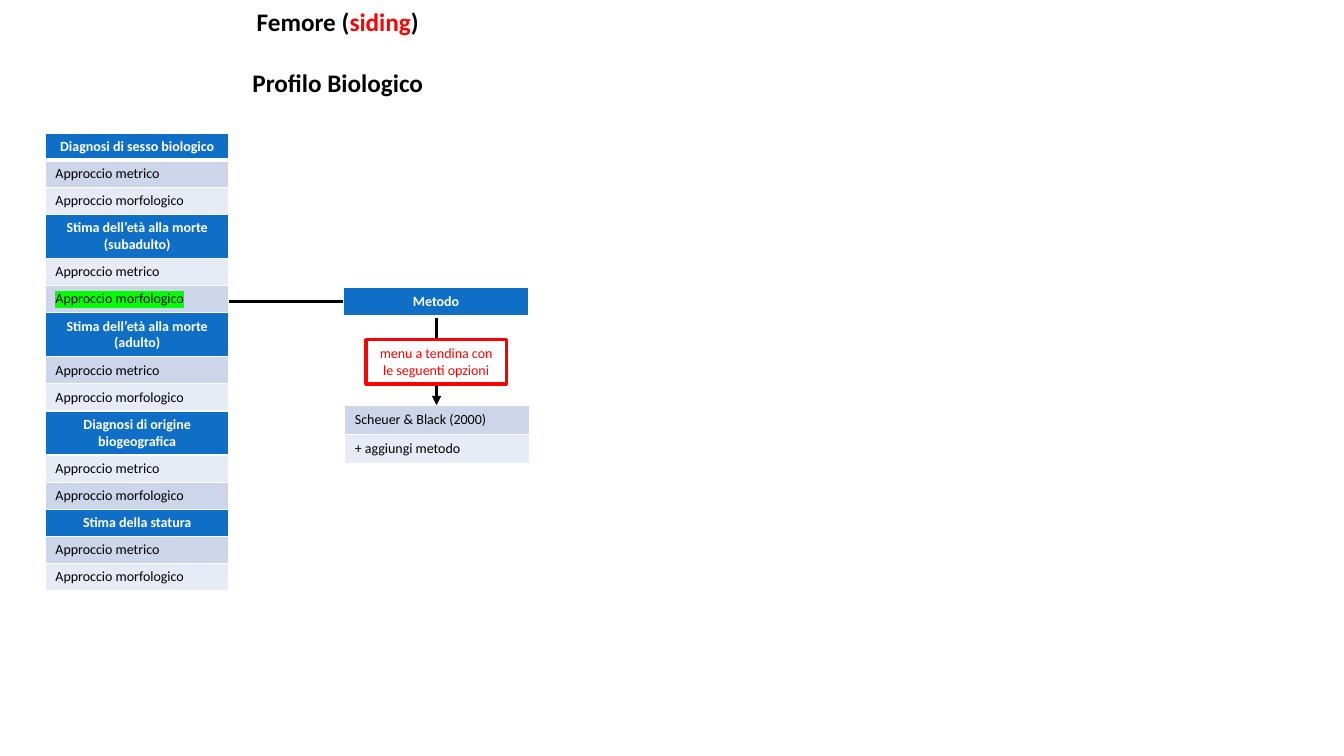
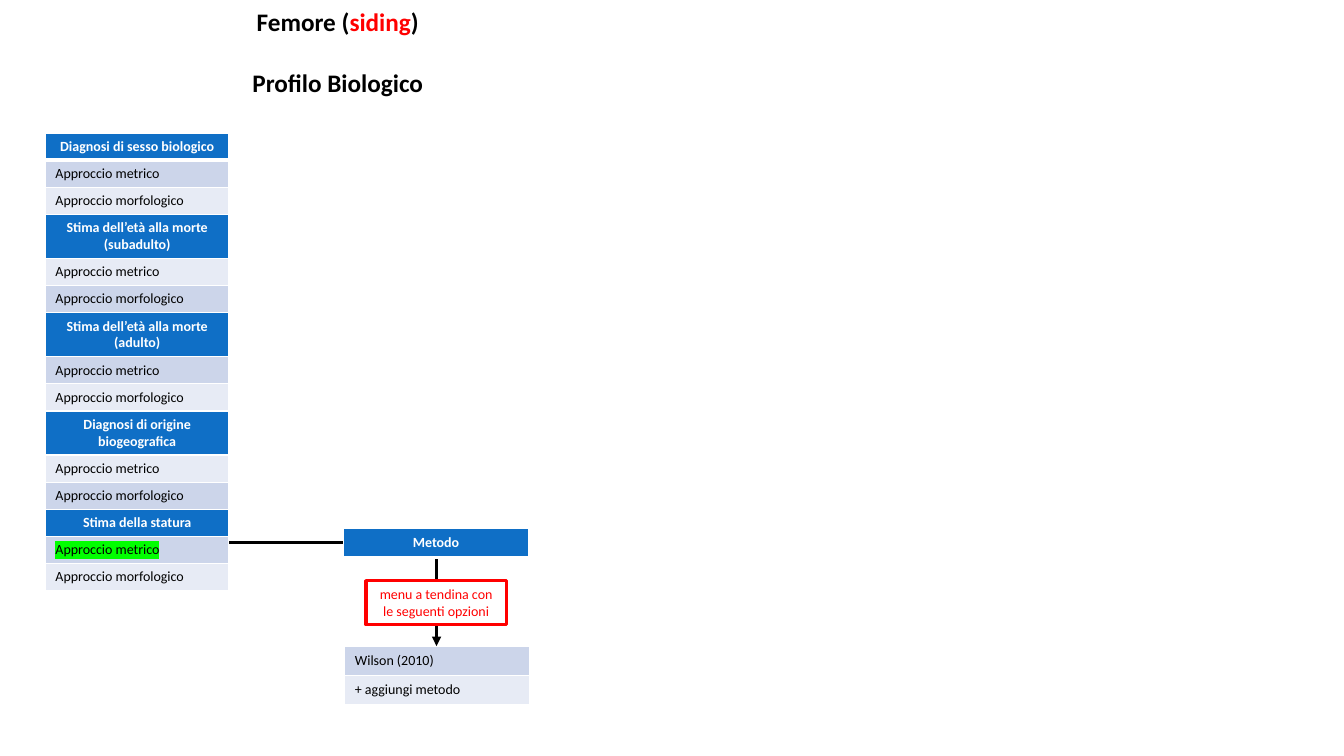
from pptx import Presentation
from pptx.dml.color import RGBColor
from pptx.enum.shapes import MSO_CONNECTOR, MSO_SHAPE
from pptx.enum.text import MSO_ANCHOR, PP_ALIGN
from pptx.oxml.ns import qn
from pptx.util import Emu, Pt
from lxml.etree import SubElement

# Content: each section has a heading and the number of lines it takes
TITLE = [
    [("Femore (", False), ("siding", True), (")", False)],
    [("Profilo Biologico", False)],
]
SECTIONS = [
    ("Diagnosi di sesso biologico", 1),
    ("Stima dell’età alla morte (subadulto)", 2),
    ("Stima dell’età alla morte (adulto)", 2),
    ("Diagnosi di origine biogeografica", 2),
    ("Stima della statura", 1),
]
APPROACHES = ["Approccio metrico", "Approccio morfologico"]
METHOD = "Metodo"
MENU = "menu a tendina con le seguenti opzioni"
ADD_METHOD = "+ aggiungi metodo"
SLIDES = [
    {"section": 1, "approach": 1, "method": "Scheuer & Black (2000)", "top": 285},
    {"section": 4, "approach": 0, "method": "Wilson (2010)", "top": 524},
]

# Shared style
BLACK = RGBColor(0, 0, 0)
WHITE = RGBColor(255, 255, 255)
RED = RGBColor(255, 0, 0)
BLUE = RGBColor(0x0F, 0x6F, 0xC6)
BANDS = [RGBColor(0xE7, 0xEB, 0xF5), RGBColor(0xCC, 0xD5, 0xEA)]
HIGHLIGHT = "00FF00"
FONT = "Calibri"

# Layout in px, 100 to the inch
ROW_HEIGHT = {1: 26, 2: 43}
PROFILE_LEFT, PROFILE_TOP, PROFILE_WIDTH = 45, 132, 182
METHOD_LEFT, METHOD_WIDTH, METHOD_ROW = 341, 183, 29
MENU_LEFT, MENU_WIDTH, MENU_HEIGHT = 363, 139, 44
MENU_DROP, OPTIONS_DROP = 52, 117
ARROW_LEFT, ARROW_RIGHT, ARROW_DROP = 206, 433, 14


def px(n):
    return Emu(n * 9144)


def add_run(p, text, size, color, bold=False, highlight=False):
    r = p.add_run()
    r.text = text
    r.font.size, r.font.bold = Pt(size), bold
    r.font.color.rgb = color
    if highlight:
        rPr = r.font._element
        mark = SubElement(rPr, qn("a:highlight"))
        SubElement(mark, qn("a:srgbClr"), val=HIGHLIGHT)
    r.font.name = FONT


def add_border(cell, side, width):
    tcPr = cell._tc.get_or_add_tcPr()
    ln = SubElement(tcPr, qn(f"a:ln{side}"), w=str(Pt(width)))
    fill = SubElement(ln, qn("a:solidFill"))
    SubElement(fill, qn("a:srgbClr"), val=str(WHITE))


def add_grid(s, left, top, width, rows, first_band=0):
    """rows: (text, height, is heading, is highlighted)"""
    total = sum(row[1] for row in rows)
    table = s.shapes.add_table(len(rows), 1, px(left), px(top),
                               px(width), px(total)).table
    table.first_row = table.horz_banding = False
    for i, (text, height, heading, marked) in enumerate(rows):
        table.rows[i].height = px(height)
        cell = table.cell(i, 0)
        cell.vertical_anchor = MSO_ANCHOR.MIDDLE
        add_border(cell, "L", 1)
        add_border(cell, "R", 1)
        if i == 0:
            add_border(cell, "T", 1)
        add_border(cell, "B", 3 if heading and i == 0 else 1)
        cell.fill.solid()
        cell.fill.fore_color.rgb = BLUE if heading else BANDS[(i + first_band) % 2]
        p = cell.text_frame.paragraphs[0]
        p.alignment = PP_ALIGN.CENTER if heading else PP_ALIGN.LEFT
        add_run(p, text, 10, WHITE if heading else BLACK, heading, marked)


def add_title(s):
    sp = s.shapes.title
    sp.left, sp.top, sp.width, sp.height = px(2), px(1), px(666), px(131)
    tf = sp.text_frame
    tf.vertical_anchor = MSO_ANCHOR.TOP
    for i, runs in enumerate(TITLE):
        p = tf.add_paragraph() if i else tf.paragraphs[0]
        p.alignment = PP_ALIGN.CENTER
        p.space_before = Pt(22 if i else 0)
        for text, accent in runs:
            add_run(p, text, 18, RED if accent else BLACK, True)


def add_profile(s, section, approach):
    rows = []
    for i, (heading, lines) in enumerate(SECTIONS):
        rows.append((heading, ROW_HEIGHT[lines], True, False))
        for j, name in enumerate(APPROACHES):
            rows.append((name, ROW_HEIGHT[1], False, (i, j) == (section, approach)))
    add_grid(s, PROFILE_LEFT, PROFILE_TOP, PROFILE_WIDTH, rows)


def add_arrow(s, top):
    cxn = s.shapes.add_connector(MSO_CONNECTOR.ELBOW, px(ARROW_LEFT), px(top + ARROW_DROP),
                                 px(ARROW_RIGHT), px(top + OPTIONS_DROP))
    cxn.line.color.rgb = BLACK
    cxn.line.width = Pt(2.25)
    spPr = cxn._element.spPr
    spPr.find(qn("a:prstGeom")).set("prst", "bentConnector2")  # single bend
    SubElement(spPr.find(qn("a:ln")), qn("a:tailEnd"), type="triangle")
    SubElement(spPr, qn("a:effectLst"))


def add_menu(s, top):
    sp = s.shapes.add_shape(MSO_SHAPE.RECTANGLE, px(MENU_LEFT), px(top + MENU_DROP),
                            px(MENU_WIDTH), px(MENU_HEIGHT))
    sp.shadow.inherit = False
    sp.fill.solid()
    sp.fill.fore_color.rgb = WHITE
    sp.line.color.rgb = RED
    sp.line.width = Pt(2.25)
    tf = sp.text_frame
    tf.word_wrap = True
    tf.vertical_anchor = MSO_ANCHOR.TOP
    p = tf.paragraphs[0]
    p.alignment = PP_ALIGN.CENTER
    add_run(p, MENU, 10, RED)


def add_method(s, method, top):
    options = [(text, METHOD_ROW, False, False) for text in (method, ADD_METHOD)]
    add_grid(s, METHOD_LEFT + 1, top + OPTIONS_DROP, METHOD_WIDTH, options, first_band=1)
    add_arrow(s, top)
    add_menu(s, top)
    add_grid(s, METHOD_LEFT, top, METHOD_WIDTH, [(METHOD, METHOD_ROW, True, False)])


def main():
    prs = Presentation()
    prs.slide_width, prs.slide_height = px(1333), px(750)
    for item in SLIDES:
        s = prs.slides.add_slide(prs.slide_layouts[5])  # title only
        add_title(s)
        add_method(s, item["method"], item["top"])
        add_profile(s, item["section"], item["approach"])
    prs.save("out.pptx")


if __name__ == "__main__":
    main()
